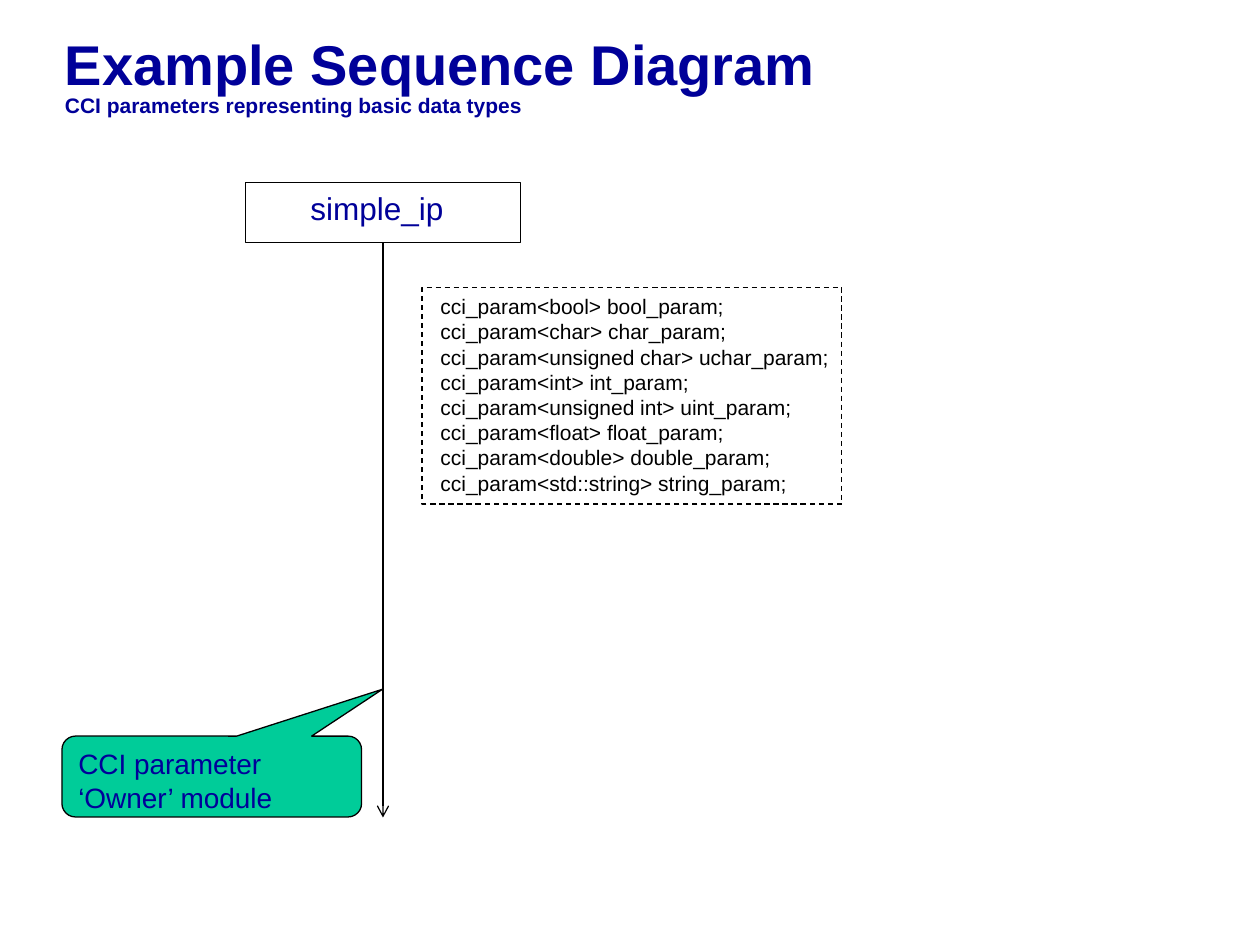
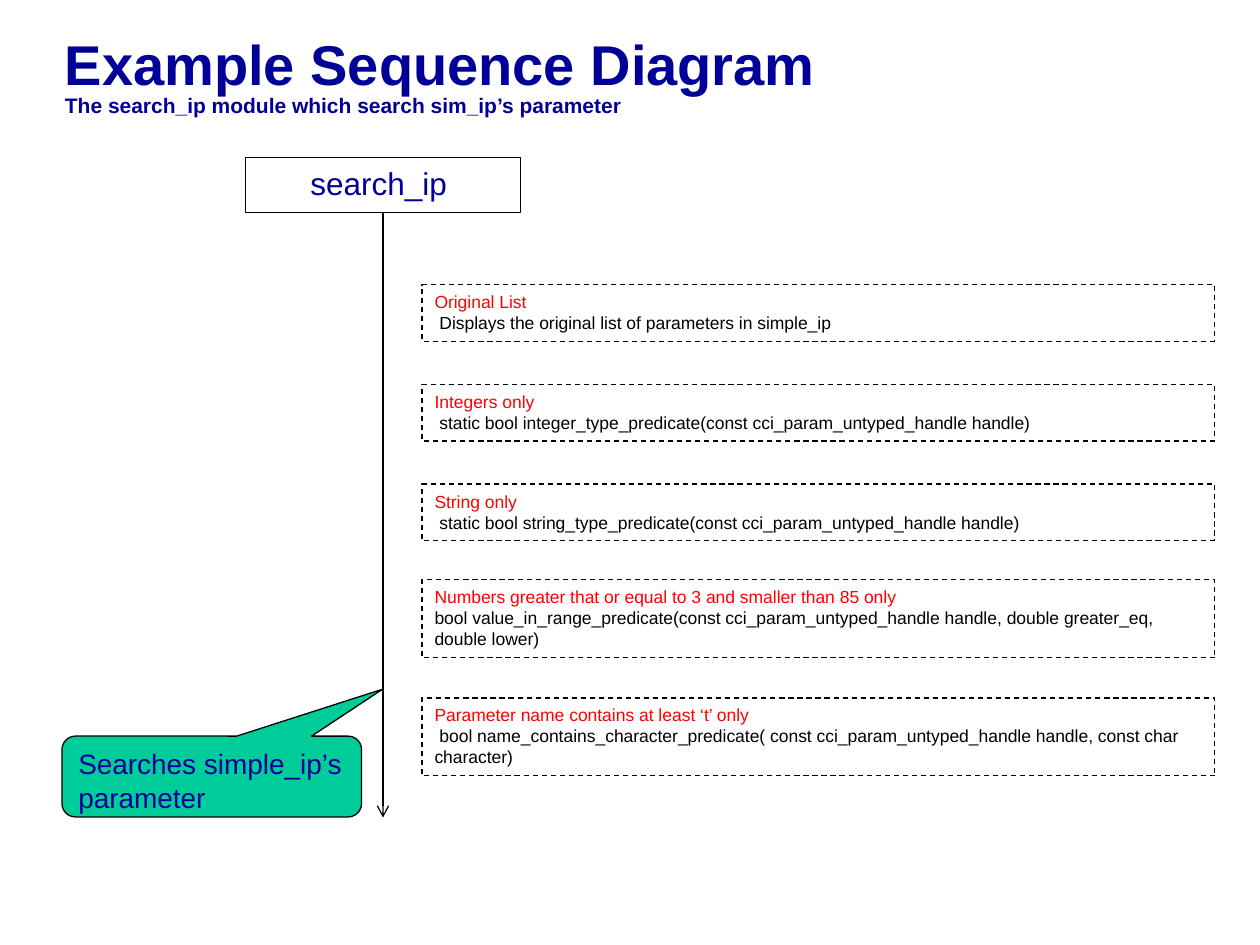
"""Build two slides that show the lifelines of the simple_ip and search_ip modules."""
from lxml import etree
from pptx import Presentation
from pptx import util as u
from pptx.dml import color
from pptx.enum import dml, shapes, text
from pptx.oxml import ns

HUE = {"navy": "000099", "black": "000000", "red": "FF0000", "green": "00CC99"}
FONT = "Arial"
KIND = shapes.MSO_SHAPE


def style(para, size, hue, bold=False):
    """Format every run of a paragraph."""
    for run in para.runs:
        run.font.name = FONT
        run.font.size = u.Pt(size)
        run.font.bold = bold
        run.font.color.rgb = color.RGBColor.from_string(HUE[hue])


def shape(page, kind, left, top, wide, high, lines, size, hue, inset=0.25):
    """Add an outlined shape with left-aligned lines of text."""
    box = page.shapes.add_shape(kind, u.Cm(left), u.Cm(top), u.Cm(wide), u.Cm(high))
    box.shadow.inherit = False
    box.fill.background()
    box.line.width = u.Pt(0.75)
    box.line.color.rgb = color.RGBColor.from_string(HUE["black"])
    if kind == KIND.FOLDED_CORNER:
        guides = box._element.spPr.find(".//" + ns.qn("a:avLst"))
        etree.SubElement(guides, ns.qn("a:gd"), name="adj", fmla="val 0")
        box.line.dash_style = dml.MSO_LINE.DASH
    frame = box.text_frame
    frame.text = "\n".join(lines)
    frame.word_wrap = True
    frame.vertical_anchor = text.MSO_ANCHOR.TOP
    frame.margin_left, frame.margin_right = u.Cm(inset), u.Cm(0.2)
    frame.margin_top = frame.margin_bottom = u.Cm(0.13)
    for para in frame.paragraphs:
        para.alignment = text.PP_ALIGN.LEFT
        style(para, size, hue)
    return box


types = [("bool", "bool"), ("char", "char"), ("unsigned char", "uchar"),
         ("int", "int"), ("unsigned int", "uint"), ("float", "float"),
         ("double", "double"), ("std::string", "string")]
params = [f"cci_param<{kind}> {name}_param;" for kind, name in types]

# top, height, first-line indent, heading, detail
notes = [
    (5.74, 1.14, 0.1, "Original List",
     "Displays the original list of parameters in simple_ip"),
    (7.75, 1.14, 0.1, "Integers only",
     "static bool integer_type_predicate(const cci_param_untyped_handle handle)"),
    (9.76, 1.14, 0.1, "String only",
     "static bool string_type_predicate(const cci_param_untyped_handle handle)"),
    (11.69, 1.57, 0, "Numbers greater that or equal to 3 and smaller than 85 only",
     "bool value_in_range_predicate(const cci_param_untyped_handle handle, "
     "double greater_eq, double lower)"),
    (14.07, 1.57, 0.1, "Parameter name contains at least ‘t’ only",
     "bool name_contains_character_predicate( const cci_param_untyped_handle handle, "
     "const char character)"),
]

# subtitle, module, module top, module height, callout
pages = [
    ("CCI parameters representing basic data types",
     "simple_ip", 3.68, 1.21, "CCI parameter ‘Owner’ module"),
    ("The search_ip module which search sim_ip’s parameter",
     "search_ip", 3.17, 1.12, "Searches simple_ip’s parameter"),
]

deck = Presentation()
deck.slide_width, deck.slide_height = u.Cm(25.4), u.Cm(19.05)

for sub, name, top, high, hint in pages:
    page = deck.slides.add_slide(deck.slide_layouts[6])

    title = page.shapes.add_textbox(u.Cm(1.06), 0, u.Cm(24.13), u.Cm(3.18)).text_frame
    title.word_wrap = True
    title.vertical_anchor = text.MSO_ANCHOR.MIDDLE
    head = title.paragraphs[0]
    head.text = f"Example Sequence Diagram\v{sub}"
    head.line_spacing = 0.85
    style(head, 32, "navy", True)
    head.runs[1].font.size = u.Pt(12)

    module = shape(page, KIND.RECTANGLE, 4.95, top, 5.54, high, [name], 18, "navy", 1.31)

    life = page.shapes.add_connector(shapes.MSO_CONNECTOR.STRAIGHT, u.Cm(7.72),
                                     u.Cm(top + high), u.Cm(7.72), u.Cm(16.48))
    life.begin_connect(module, 2)
    life.line.width = u.Pt(0.75)
    life.line.color.rgb = color.RGBColor.from_string(HUE["black"])
    props = life._element.spPr
    etree.SubElement(props.get_or_add_ln(), ns.qn("a:tailEnd"), type="arrow")
    etree.SubElement(props, ns.qn("a:effectLst"))

    call = shape(page, KIND.ROUNDED_RECTANGULAR_CALLOUT, 1.25, 14.84, 6.04, 1.63,
                 [hint], 16, "navy")
    call.fill.solid()
    call.fill.fore_color.rgb = color.RGBColor.from_string(HUE["green"])
    call.adjustments[0], call.adjustments[1] = 0.57, -1.08

first, second = deck.slides
shape(first, KIND.FOLDED_CORNER, 8.51, 5.79, 8.46, 4.37, params, 12, "black", 0.37)

for top, high, dent, label, detail in notes:
    note = shape(second, KIND.FOLDED_CORNER, 8.51, top, 15.98, high,
                 [label, detail], 10, "black")
    paras = note.text_frame.paragraphs
    style(paras[0], 10, "red")
    paras[1]._p.get_or_add_pPr().set("indent", str(u.Cm(dent)))

deck.save("out.pptx")
